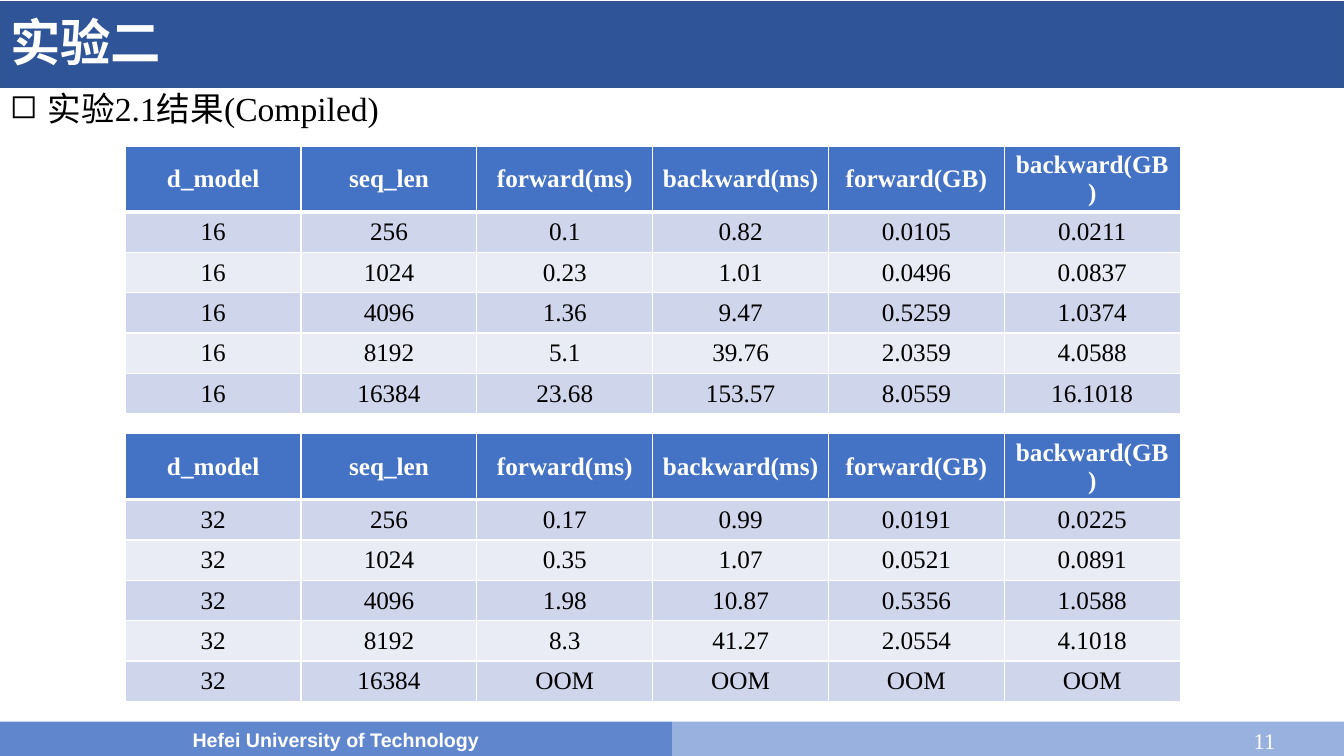
from lxml import etree
from pptx import Presentation
from pptx.dml.color import RGBColor
from pptx.enum import shapes, text
from pptx.oxml import ns
from pptx.util import Pt

TITLE = "实验二"
SUBTITLE = "实验2.1结果(Compiled)"
FOOTER = "Hefei University of Technology"
PAGE_NUMBER = "11"
HEADINGS = ("d_model", "seq_len", "forward(ms)", "backward(ms)", "forward(GB)", "backward(GB)")
RESULTS_16 = [
    ("16", "256", "0.1", "0.82", "0.0105", "0.0211"),
    ("16", "1024", "0.23", "1.01", "0.0496", "0.0837"),
    ("16", "4096", "1.36", "9.47", "0.5259", "1.0374"),
    ("16", "8192", "5.1", "39.76", "2.0359", "4.0588"),
    ("16", "16384", "23.68", "153.57", "8.0559", "16.1018"),
]
RESULTS_32 = [
    ("32", "256", "0.17", "0.99", "0.0191", "0.0225"),
    ("32", "1024", "0.35", "1.07", "0.0521", "0.0891"),
    ("32", "4096", "1.98", "10.87", "0.5356", "1.0588"),
    ("32", "8192", "8.3", "41.27", "2.0554", "4.1018"),
    ("32", "16384", "OOM", "OOM", "OOM", "OOM"),
]

WHITE = RGBColor(0xFF, 0xFF, 0xFF)
BLACK = RGBColor(0, 0, 0)
BANNER = RGBColor(0x2F, 0x54, 0x97)
BANNER_LINE = RGBColor(0x32, 0x54, 0x91)
FOOTER_LEFT = RGBColor(0x60, 0x87, 0xCD)
FOOTER_RIGHT = RGBColor(0x99, 0xB1, 0xDF)
HEADING_FILL = RGBColor(0x44, 0x72, 0xC4)
BANDS = (RGBColor(0xCF, 0xD5, 0xEA), RGBColor(0xE9, 0xEB, 0xF5))

PAGE_WIDTH, PAGE_HEIGHT = 960, 540
BANNER_TOP, BANNER_HEIGHT = 1.5, 61
FOOTER_TOP, FOOTER_HEIGHT = 515.5, 25
TABLE_LEFT, COLUMN_WIDTH = 89.5, 125.6
HEADING_HEIGHT, ROW_HEIGHT = 46.4, 28.8
ALIGN, ANCHOR = text.PP_ALIGN, text.MSO_ANCHOR


def write(frame, words, size, color=WHITE, font="Times New Roman", bold=False,
          align=ALIGN.LEFT, anchor=ANCHOR.MIDDLE, line_spacing=None):
    frame.word_wrap = True
    frame.auto_size = text.MSO_AUTO_SIZE.NONE
    frame.vertical_anchor = anchor
    return write_para(frame.paragraphs[0], words, size, color, font, bold, align, line_spacing)


def write_para(para, words, size, color, font="Times New Roman", bold=False,
               align=ALIGN.CENTER, line_spacing=None):
    para.alignment = align
    if line_spacing:
        para.line_spacing = line_spacing
    span = para.add_run()
    span.text = words
    span.font.size = Pt(size)
    span.font.name = font
    span.font.bold = bold
    span.font.color.rgb = color
    return para


def add_bar(page, left, top, width, height, fill, line=None):
    bar = page.shapes.add_shape(shapes.MSO_SHAPE.RECTANGLE, Pt(left), Pt(top), Pt(width), Pt(height))
    bar.shadow.inherit = False
    bar.fill.solid()
    bar.fill.fore_color.rgb = fill
    if line is None:
        bar.line.fill.background()
    else:
        bar.line.color.rgb = line
        bar.line.width = Pt(1)
    return bar


def add_text(page, left, top, width, height, words, size, **style):
    box = page.shapes.add_textbox(Pt(left), Pt(top), Pt(width), Pt(height))
    return write(box.text_frame, words, size, **style)


def add_bullet(para, mark, indent):
    properties = para._p.get_or_add_pPr()
    properties.set("marL", str(Pt(indent)))
    properties.set("indent", str(-Pt(indent)))
    etree.SubElement(properties, ns.qn("a:buChar")).set("char", mark)


def add_borders(cell, bottom_width):
    properties = cell._tc.get_or_add_tcPr()
    widths = {"a:lnL": 1, "a:lnR": 1, "a:lnT": 1, "a:lnB": bottom_width}
    for position, (side, width) in enumerate(widths.items()):
        border = etree.Element(ns.qn(side), w=str(Pt(width)))
        fill = etree.SubElement(border, ns.qn("a:solidFill"))
        etree.SubElement(fill, ns.qn("a:srgbClr")).set("val", str(WHITE))
        properties.insert(position, border)


def add_results(page, top, results):
    rows = [HEADINGS] + results
    height = HEADING_HEIGHT + ROW_HEIGHT * len(results)
    table = page.shapes.add_table(len(rows), len(HEADINGS), Pt(TABLE_LEFT), Pt(top),
                                  Pt(COLUMN_WIDTH * len(HEADINGS)), Pt(height)).table
    for column in table.columns:
        column.width = Pt(COLUMN_WIDTH)
    for index, values in enumerate(rows):
        heading = index == 0
        table.rows[index].height = Pt(HEADING_HEIGHT if heading else ROW_HEIGHT)
        for column, value in enumerate(values):
            cell = table.cell(index, column)
            cell.vertical_anchor = ANCHOR.MIDDLE
            cell.fill.solid()
            cell.fill.fore_color.rgb = HEADING_FILL if heading else BANDS[(index - 1) % 2]
            write_para(cell.text_frame.paragraphs[0], value, 18,
                       WHITE if heading else BLACK, bold=heading)
            add_borders(cell, 3 if heading else 1)


def main():
    deck = Presentation()
    deck.slide_width, deck.slide_height = Pt(PAGE_WIDTH), Pt(PAGE_HEIGHT)
    page = deck.slides.add_slide(deck.slide_layouts[5])
    half = PAGE_WIDTH / 2

    add_bar(page, 0, BANNER_TOP, PAGE_WIDTH, BANNER_HEIGHT, BANNER, BANNER_LINE)
    add_bar(page, half, FOOTER_TOP, half, FOOTER_HEIGHT, FOOTER_RIGHT)
    footer = add_bar(page, 0, FOOTER_TOP, half, FOOTER_HEIGHT, FOOTER_LEFT)
    write(footer.text_frame, FOOTER, 14, font="Arial", bold=True, align=ALIGN.CENTER)

    title = page.shapes.title
    title.left, title.top = Pt(0), Pt(BANNER_TOP)
    title.width, title.height = Pt(930), Pt(BANNER_HEIGHT)
    write(title.text_frame, TITLE, 36, bold=True, line_spacing=0.9)
    footer.element.addnext(title.element)

    add_text(page, 702, FOOTER_TOP, 216, 26.5, PAGE_NUMBER, 16, align=ALIGN.RIGHT)
    subtitle = add_text(page, 0, 62.5, PAGE_WIDTH, 36, SUBTITLE, 24, color=BLACK,
                        anchor=ANCHOR.TOP, line_spacing=0.9)
    add_bullet(subtitle, "◻", 27)

    for top, results in ((104.4, RESULTS_16), (309.8, RESULTS_32)):
        add_results(page, top, results)
    deck.save("out.pptx")


if __name__ == "__main__":
    main()
